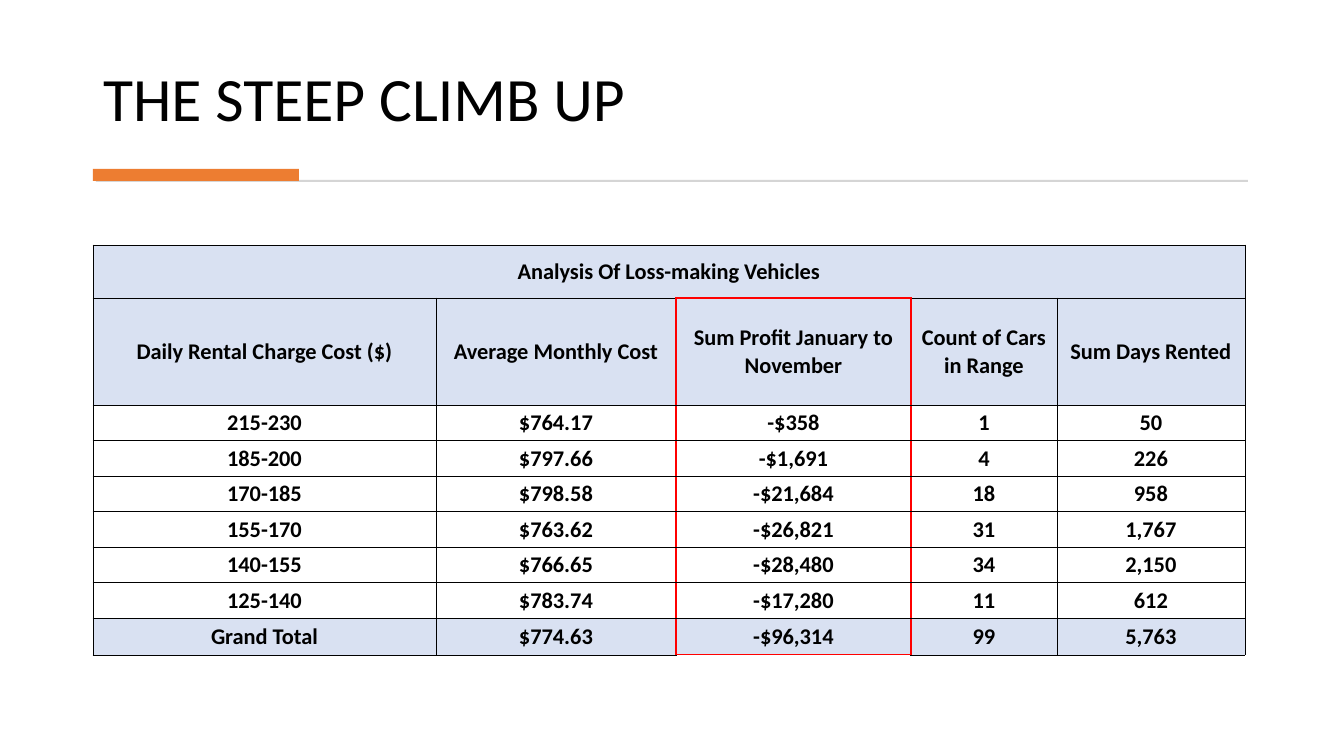
from lxml import etree
from pptx import Presentation
from pptx import util as u
from pptx.dml.color import RGBColor
from pptx.enum import shapes, text
from pptx.oxml.ns import qn

# Content
TITLE = "THE STEEP CLIMB UP"
CAPTION = "Analysis Of Loss-making Vehicles"
HEADERS = ["Daily Rental Charge Cost ($)", "Average Monthly Cost",
           "Sum Profit January to November", "Count of Cars in Range",
           "Sum Days Rented"]
RANGES = [
    ["215-230", "$764.17", "-$358", "1", "50"],
    ["185-200", "$797.66", "-$1,691", "4", "226"],
    ["170-185", "$798.58", "-$21,684", "18", "958"],
    ["155-170", "$763.62", "-$26,821", "31", "1,767"],
    ["140-155", "$766.65", "-$28,480", "34", "2,150"],
    ["125-140", "$783.74", "-$17,280", "11", "612"],
]
TOTAL = ["Grand Total", "$774.63", "-$96,314", "99", "5,763"]

# Style and layout, lengths in px
FONT = "Calibri"
BLACK, RED, BAND = "000000", "FF0000", "D9E1F2"
RULES = [((96, 180, 1152, 2), "D5D5D5"), ((93, 169, 206, 12), "ED7D31")]
LEFT, TABLE_TOP = 93, 245
COLUMN_WIDTHS = [343, 240, 235, 146, 188]
CAPTION_HEIGHT, HEADER_HEIGHT, RANGES_HEIGHT, TOTAL_HEIGHT = 53, 107, 213, 37
PROFIT = 2  # column outlined in red


def px(length):
    return u.Emu(round(length * 914400 / 100.8))


def color(value):
    return RGBColor.from_string(value)


def style_text(para, size, bold, align):
    para.alignment = align
    for span in para.runs:
        span.font.name = FONT
        span.font.size = u.Pt(size)
        span.font.bold = bold
        span.font.color.rgb = color(BLACK)


def add_border(cell, side, value, points):
    line = etree.SubElement(cell._tc.get_or_add_tcPr(), qn("a:ln" + side),
                            w=str(u.Pt(points)))
    fill = etree.SubElement(line, qn("a:solidFill"))
    etree.SubElement(fill, qn("a:srgbClr"), val=value)


def red_sides(row, column, last):
    """Sides of a cell that lie on the outline of the profit column."""
    if row == 0:
        return "B" if column == PROFIT else ""
    if column == PROFIT:
        return "LR" + ("T" if row == 1 else "") + ("B" if row == last else "")
    return {PROFIT - 1: "R", PROFIT + 1: "L"}.get(column, "")


def add_title(page):
    title = page.shapes.title
    title.left, title.top, title.width, title.height = map(px, (LEFT, 28, 1158, 112))
    title.text_frame.text = TITLE
    title.text_frame.vertical_anchor = text.MSO_ANCHOR.BOTTOM
    para = title.text_frame.paragraphs[0]
    para.line_spacing = 0.9
    style_text(para, 44, False, text.PP_ALIGN.LEFT)


def add_rules(page):
    for place, value in RULES:
        bar = page.shapes.add_shape(shapes.MSO_SHAPE.RECTANGLE, *map(px, place))
        bar.shadow.inherit = False
        bar.fill.solid()
        bar.fill.fore_color.rgb = color(value)
        bar.line.fill.background()


def add_cost_table(page):
    rows = [[CAPTION] + [""] * (len(HEADERS) - 1), HEADERS, *RANGES, TOTAL]
    heights = [CAPTION_HEIGHT, HEADER_HEIGHT,
               *[RANGES_HEIGHT / len(RANGES)] * len(RANGES), TOTAL_HEIGHT]
    last = len(rows) - 1
    table = page.shapes.add_table(
        len(rows), len(HEADERS), px(LEFT), px(TABLE_TOP),
        px(sum(COLUMN_WIDTHS)), px(sum(heights))).table
    table.first_row = table.horz_banding = False
    for column, width in zip(table.columns, COLUMN_WIDTHS):
        column.width = px(width)
    for row, height in zip(table.rows, heights):
        row.height = px(height)
    table.cell(0, 0).merge(table.cell(0, len(HEADERS) - 1))

    for r, values in enumerate(rows):
        for c, value in enumerate(values):
            cell = table.cell(r, c)
            cell.margin_left = cell.margin_right = cell.margin_top = px(1)
            cell.margin_bottom = 0
            cell.vertical_anchor = text.MSO_ANCHOR.MIDDLE
            red = red_sides(r, c, last)
            for side in "LRTB":
                add_border(cell, side, *((RED, 1) if side in red else (BLACK, 0.5)))
            if r in (0, 1, last):
                cell.fill.solid()
                cell.fill.fore_color.rgb = color(BAND)
            else:
                cell.fill.background()
            if value:
                cell.text_frame.text = value
                style_text(cell.text_frame.paragraphs[0], 16, True,
                           text.PP_ALIGN.CENTER)


def main():
    deck = Presentation()
    deck.slide_width, deck.slide_height = px(1344), px(756)
    page = deck.slides.add_slide(deck.slide_layouts[5])
    add_title(page)
    add_rules(page)
    add_cost_table(page)
    deck.save("out.pptx")


if __name__ == "__main__":
    main()
